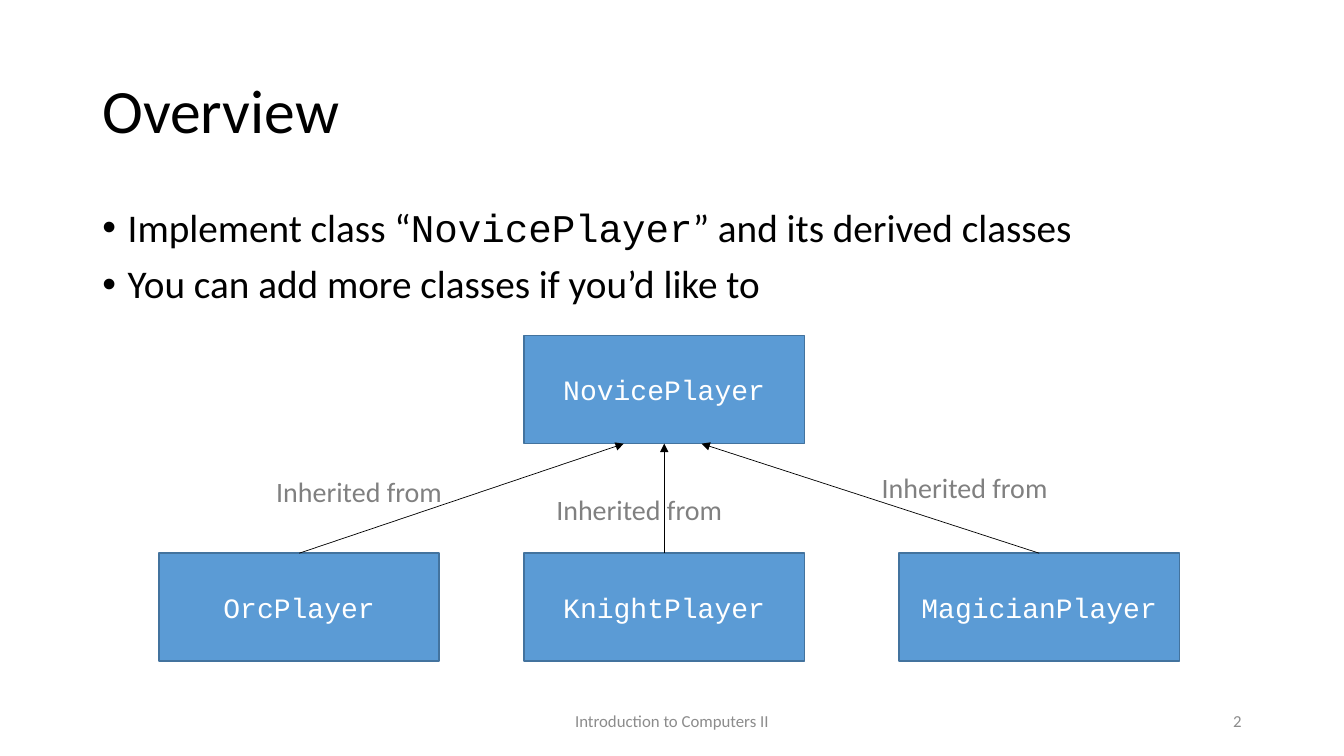
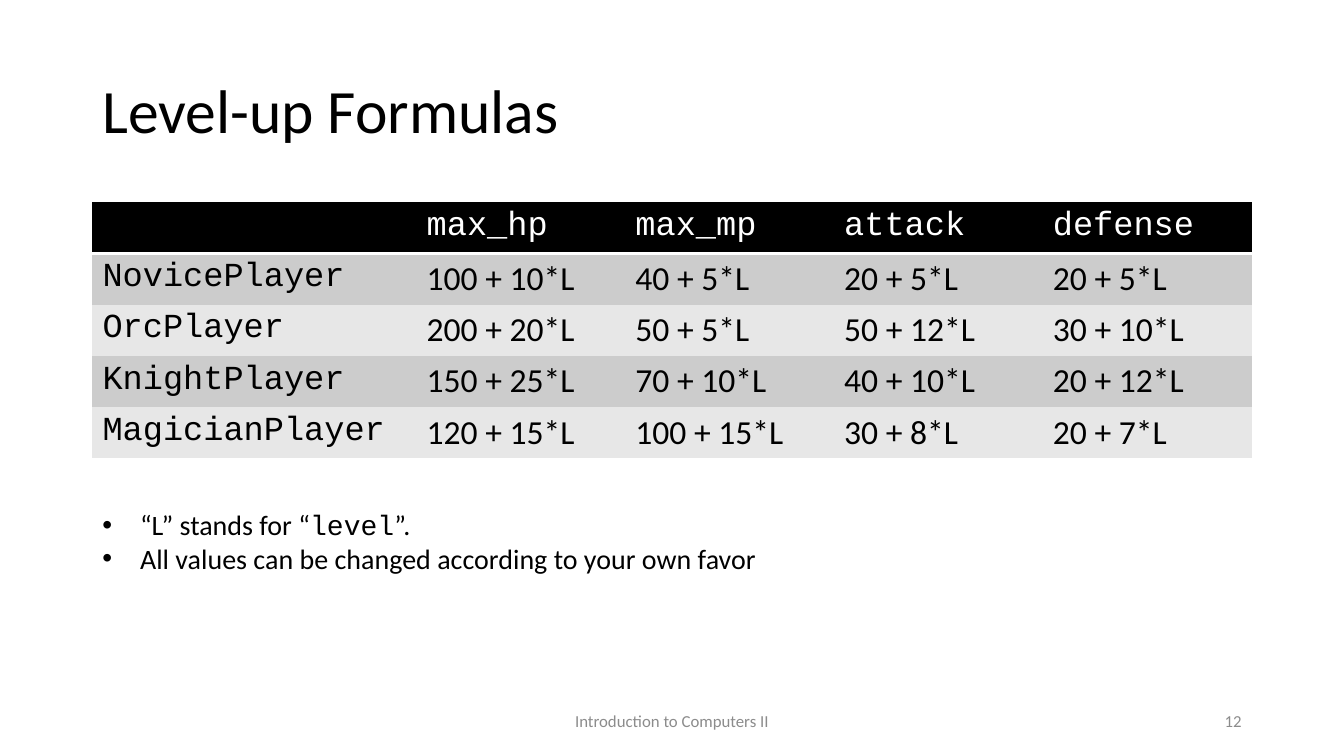
from lxml.etree import SubElement
from pptx import Presentation
from pptx.dml.color import RGBColor
from pptx.enum.shapes import MSO_CONNECTOR, MSO_SHAPE
from pptx.enum.text import MSO_ANCHOR, PP_ALIGN
from pptx.oxml import parse_xml
from pptx.oxml.ns import nsdecls, qn
from pptx.util import Cm, Pt

COLOURS = {
    "text": "000000",
    "white": "FFFFFF",
    "footer": "8C8C8C",
    "label": "808080",
    "box": "5B9BD5",
    "box_line": "43739E",
    "header": "000000",
    "odd_row": "CCCCCC",
    "even_row": "E7E7E7",
}
SANS = "Calibri"
MONO = "Courier New"
PLAIN_TABLE = "{2D5ABB26-0587-4C30-8999-92F81FD0307C}"
MARGIN = 2.33
CONTENT_WIDTH = 29.21
BOX_WIDTH, BOX_HEIGHT = 7.06, 2.72
TOP, BOTTOM = 0, 2

FORMULAS = [
    ("", "max_hp", "max_mp", "attack", "defense"),
    ("NovicePlayer", "100 + 10*L", "40 + 5*L", "20 + 5*L", "20 + 5*L"),
    ("OrcPlayer", "200 + 20*L", "50 + 5*L", "50 + 12*L", "30 + 10*L"),
    ("KnightPlayer", "150 + 25*L", "70 + 10*L", "40 + 10*L", "20 + 12*L"),
    ("MagicianPlayer", "120 + 15*L", "100 + 15*L", "30 + 8*L", "20 + 7*L"),
]


def colour(name):
    return RGBColor.from_string(COLOURS[name])


def add_span(para, text, size, font=SANS, ink="text"):
    span = para.add_run()
    span.text = text
    span.font.size = Pt(size)
    span.font.name = font
    span.font.color.rgb = colour(ink)


def add_bullet(para, indent):
    properties = para._p.get_or_add_pPr()
    properties.set("marL", str(Cm(indent)))
    properties.set("indent", str(-Cm(indent)))
    SubElement(properties, qn("a:buFont"), typeface="Arial")
    SubElement(properties, qn("a:buChar"), char="•")


def add_text(page, paragraphs, left, top, width, height, *, size, ink="text",
             align=PP_ALIGN.LEFT, anchor=MSO_ANCHOR.TOP, wrap=True,
             line_spacing=None, space_before=0, indent=None):
    """Each paragraph is a tuple of pieces, alternating between SANS and MONO."""
    frame = page.shapes.add_textbox(Cm(left), Cm(top), Cm(width), Cm(height)).text_frame
    frame.word_wrap = wrap
    frame.vertical_anchor = anchor
    for number, pieces in enumerate(paragraphs):
        para = frame.add_paragraph() if number else frame.paragraphs[0]
        para.alignment = align
        para.line_spacing = line_spacing
        para.space_before = Pt(space_before)
        if indent:
            add_bullet(para, indent)
        for position, piece in enumerate(pieces):
            add_span(para, piece, size, MONO if position % 2 else SANS, ink)


def add_page(deck, title, number):
    page = deck.slides.add_slide(deck.slide_layouts[6])
    add_text(page, [(title,)], MARGIN, 1.02, CONTENT_WIDTH, 3.68, size=44,
             anchor=MSO_ANCHOR.MIDDLE, line_spacing=0.9)
    footers = [("Introduction to Computers II", 11.22, 11.43, PP_ALIGN.CENTER),
               (str(number), 23.92, 7.62, PP_ALIGN.RIGHT)]
    for text, left, width, align in footers:
        add_text(page, [(text,)], left, 17.65, width, 1.02, size=12,
                 ink="footer", align=align, anchor=MSO_ANCHOR.MIDDLE)
    return page


def add_class_box(page, name, left, top):
    box = page.shapes.add_shape(MSO_SHAPE.RECTANGLE, Cm(left), Cm(top),
                                Cm(BOX_WIDTH), Cm(BOX_HEIGHT))
    box.shadow.inherit = False
    box.fill.solid()
    box.fill.fore_color.rgb = colour("box")
    box.line.color.rgb = colour("box_line")
    box.line.width = Pt(1)
    box.text_frame.vertical_anchor = MSO_ANCHOR.MIDDLE
    para = box.text_frame.paragraphs[0]
    para.alignment = PP_ALIGN.CENTER
    add_span(para, name, 20, MONO, "white")
    return box


def add_arrow(page, child, parent, shift):
    end_x = parent.left + parent.width // 2 + Cm(shift)
    end_y = parent.top + parent.height
    arrow = page.shapes.add_connector(MSO_CONNECTOR.STRAIGHT, child.left, child.top,
                                      end_x, end_y)
    arrow.begin_connect(child, TOP)
    if not shift:
        arrow.end_connect(parent, BOTTOM)
    arrow.line.color.rgb = colour("text")
    arrow.line.width = Pt(0.5)
    SubElement(arrow.get_or_add_ln(), qn("a:tailEnd"), type="triangle")
    SubElement(arrow.element.spPr, qn("a:effectLst"))


def add_bottom_border(cell, name, width):
    cell._tc.get_or_add_tcPr().insert(0, parse_xml(
        f'<a:lnB {nsdecls("a")} w="{Pt(width)}"><a:solidFill>'
        f'<a:srgbClr val="{COLOURS[name]}"/></a:solidFill></a:lnB>'))


def add_formula_table(page, rows, left, top, widths, row_height):
    table = page.shapes.add_table(len(rows), len(widths), Cm(left), Cm(top),
                                  Cm(sum(widths)), Cm(row_height * len(rows))).table
    table._tbl.tblPr.find(qn("a:tableStyleId")).text = PLAIN_TABLE
    for column, width in zip(table.columns, widths):
        column.width = Cm(width)
    for row_number, texts in enumerate(rows):
        is_header = row_number == 0
        fill = "header" if is_header else "odd_row" if row_number % 2 else "even_row"
        table.rows[row_number].height = Cm(row_height)
        for column_number, text in enumerate(texts):
            cell = table.cell(row_number, column_number)
            cell.fill.solid()
            cell.fill.fore_color.rgb = colour(fill)
            if is_header:
                add_bottom_border(cell, "white", 2)
            if text:
                font = MONO if is_header or column_number == 0 else SANS
                add_span(cell.text_frame.paragraphs[0], text, 24, font,
                         "white" if is_header else "text")


def build_overview(deck):
    page = add_page(deck, "Overview", 2)
    add_text(page, [("Implement class “", "NovicePlayer", "” and its derived classes"),
                    ("You can add more classes if you’d like to",)],
             MARGIN, 5.13, CONTENT_WIDTH, 12.09, size=28,
             line_spacing=0.9, space_before=10, indent=0.64)
    parent = add_class_box(page, "NovicePlayer", 13.21, 8.46)
    children = [("OrcPlayer", 4.01, -1.02, 6.71, 11.84),
                ("KnightPlayer", 13.21, 0, 13.77, 12.29),
                ("MagicianPlayer", 22.66, 0.94, 21.97, 11.73)]
    for name, left, shift, label_left, label_top in children:
        child = add_class_box(page, name, left, 13.94)
        add_arrow(page, child, parent, shift)
        add_text(page, [("Inherited from",)], label_left, label_top, 4.72, 1.12,
                 size=20, ink="label", wrap=False)


def build_formulas(deck):
    page = add_page(deck, "Level-up Formulas", 12)
    add_formula_table(page, FORMULAS, MARGIN, 5.1, [8.17] + [5.26] * 4, 1.29)
    add_text(page, [("“L” stands for “", "level", "”."),
                    ("All values can be changed according to your own favor",)],
             MARGIN, 12.67, 17.45, 1.96, size=20, indent=0.95)


def main():
    deck = Presentation()
    deck.slide_width, deck.slide_height = Cm(33.87), Cm(19.05)
    build_overview(deck)
    build_formulas(deck)
    deck.save("out.pptx")


if __name__ == "__main__":
    main()
